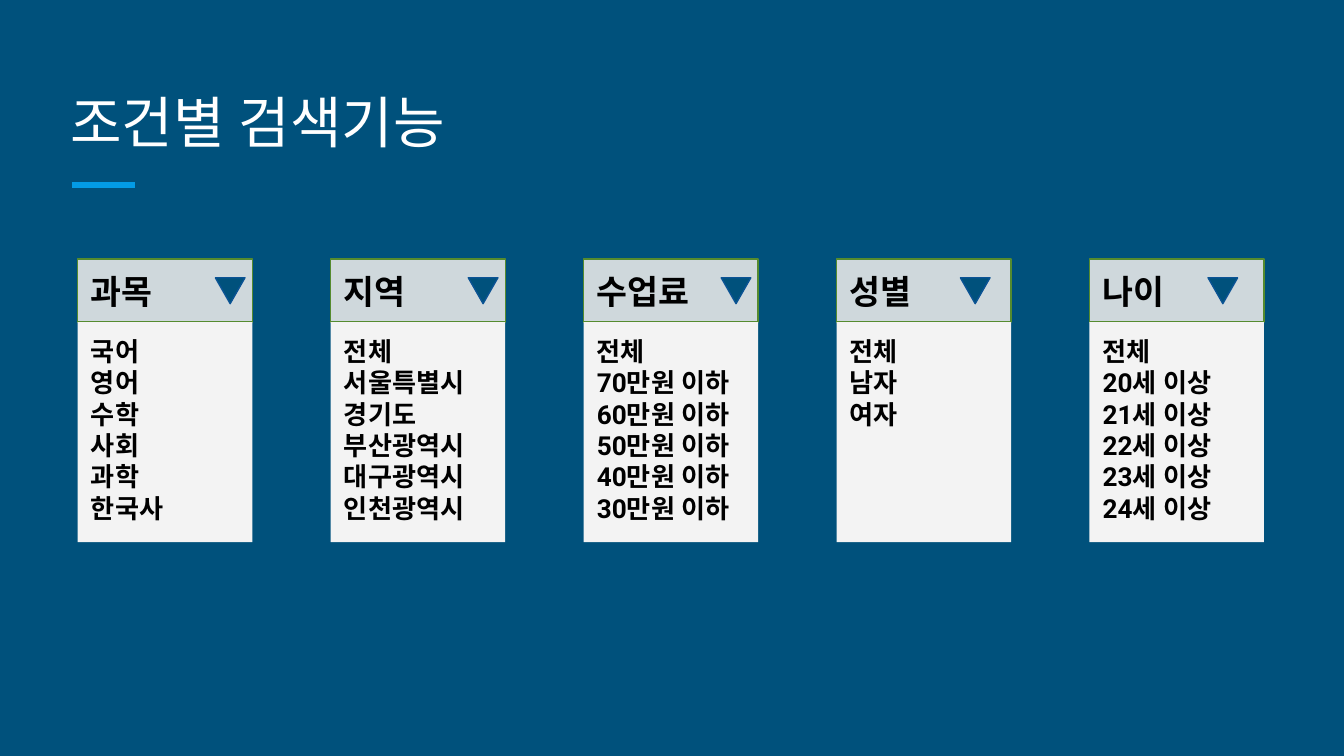
from pptx import Presentation
from pptx.dml.color import RGBColor
from pptx.enum.shapes import MSO_CONNECTOR as CONN, MSO_SHAPE as SHAPE
from pptx.enum.text import MSO_ANCHOR as ANCHOR, PP_ALIGN as ALIGN
from pptx.oxml.ns import qn
from pptx.util import Cm, Pt
from lxml import etree

TITLE = "조건별 검색기능"
FILTERS = [
    ("과목", 2.6, ["국어", "영어", "수학", "사회", "과학", "한국사"]),
    ("지역", 2.6, ["전체", "서울특별시", "경기도", "부산광역시", "대구광역시", "인천광역시"]),
    ("수업료", 2.6, ["전체"] + [f"{n}만원 이하" for n in range(70, 20, -10)]),
    ("성별", 2.34, ["전체", "남자", "여자"]),
    ("나이", 2.24, ["전체"] + [f"{n}세 이상" for n in range(20, 25)]),
]

NAVY = RGBColor(0x00, 0x51, 0x7C)
SKY = RGBColor(0x03, 0x9B, 0xE5)
BLUE = RGBColor(0x0B, 0x53, 0x94)
GREEN = RGBColor(0x55, 0x8B, 0x2F)
GREY = RGBColor(0xCF, 0xD8, 0xDC)
PALE = RGBColor(0xF3, 0xF3, 0xF3)
WHITE = RGBColor(0xFF, 0xFF, 0xFF)
BLACK = RGBColor(0, 0, 0)

LEFT, PITCH, WIDTH = 1.47, 4.78, 3.3
HEAD_TOP, HEAD_H, BODY_H = 4.9, 1.19, 4.16
ARROW_TOP, ARROW_W, ARROW_H = 5.25, 0.56, 0.49

TITLE_FONT = {"name": "Roboto Slab", "size": Pt(30), "bold": False}
HEAD_FONT = {"name": "Roboto", "size": Pt(18), "bold": True}
BODY_FONT = {"name": "Roboto", "size": Pt(14), "bold": True}
INSETS = {f"margin_{side}": Cm(0.25) for side in ("left", "top", "right", "bottom")}


def set_all(obj, values):
    for key, value in values.items():
        setattr(obj, key, value)


def write(sp, lines, font, color, anchor):
    tf = sp.text_frame
    set_all(tf, {"word_wrap": True, "vertical_anchor": anchor, **INSETS})
    for i, line in enumerate(lines):
        p = tf.add_paragraph() if i else tf.paragraphs[0]
        p.alignment = ALIGN.LEFT
        r = p.add_run()
        r.text = line
        set_all(r.font, font)
        r.font.color.rgb = color
        ea = etree.SubElement(r.font._element, qn("a:ea"))
        ea.set("typeface", font["name"])


def add_box(shapes, kind, box, fill, line=None):
    sp = shapes.add_shape(kind, *map(Cm, box))
    sp.shadow.inherit = False
    sp.fill.solid()
    sp.fill.fore_color.rgb = fill
    if line is None:
        sp.line.fill.background()
    else:
        sp.line.color.rgb = line
        sp.line.width = Pt(0.75)
    return sp


prs = Presentation()
prs.slide_width, prs.slide_height = Cm(25.4), Cm(14.29)
s = prs.slides.add_slide(prs.slide_layouts[6])
s.background.fill.solid()
s.background.fill.fore_color.rgb = NAVY

rule = s.shapes.add_connector(CONN.STRAIGHT, Cm(1.36), Cm(3.5), Cm(2.55), Cm(3.5))
rule.line.color.rgb = SKY
rule.line.width = Pt(3)
etree.SubElement(rule._element.spPr, qn("a:effectLst"))

title = s.shapes.add_textbox(Cm(1.08), Cm(1.27), Cm(23.24), Cm(1.9))
write(title, [TITLE], TITLE_FONT, WHITE, ANCHOR.BOTTOM)

for i, (name, arrow_dx, options) in enumerate(FILTERS):
    x = LEFT + i * PITCH
    header = s.shapes.add_group_shape().shapes
    head = add_box(header, SHAPE.RECTANGLE, (x, HEAD_TOP, WIDTH, HEAD_H), GREY, GREEN)
    write(head, [name], HEAD_FONT, BLACK, ANCHOR.MIDDLE)
    arrow = add_box(header, SHAPE.ISOSCELES_TRIANGLE,
                    (x + arrow_dx, ARROW_TOP, ARROW_W, ARROW_H), NAVY, BLUE)
    arrow.rotation = 180
    body = add_box(s.shapes, SHAPE.RECTANGLE, (x, HEAD_TOP + HEAD_H, WIDTH, BODY_H), PALE)
    write(body, options, BODY_FONT, BLACK, ANCHOR.TOP)

prs.save("out.pptx")
